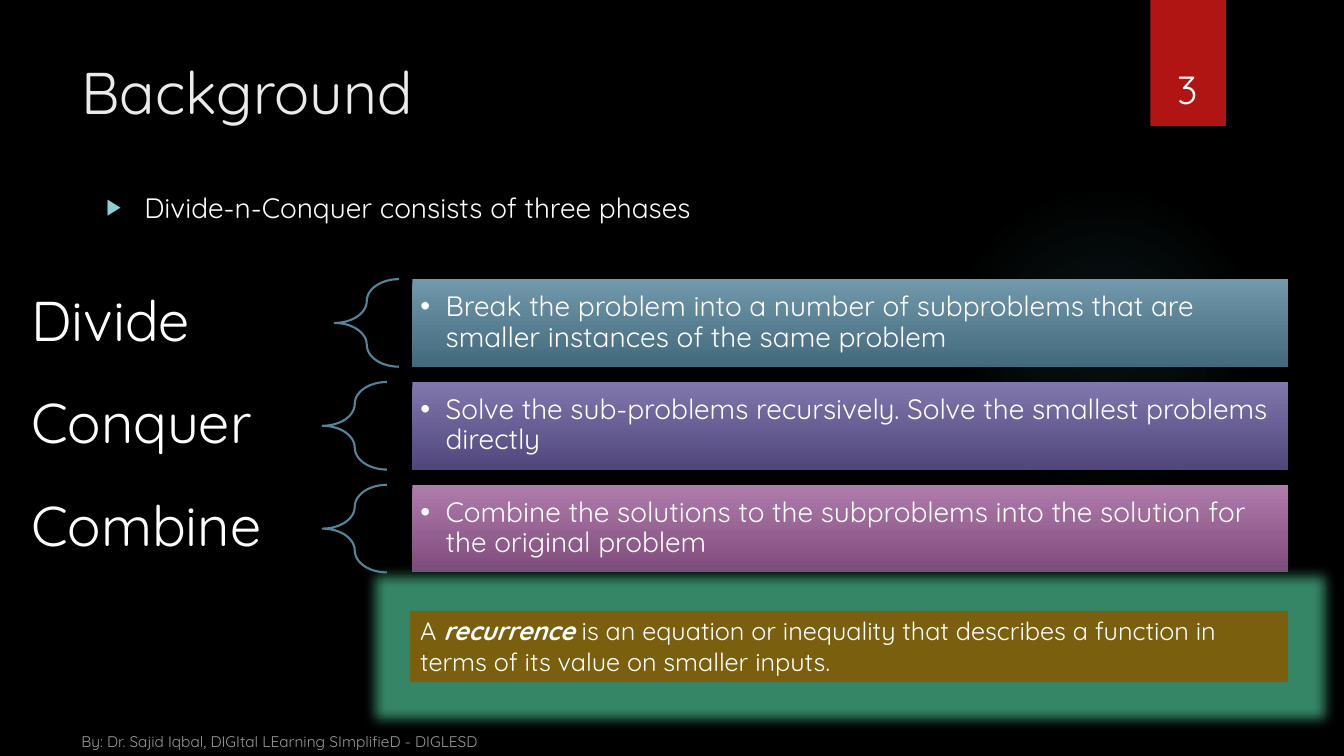
"""Build the Background slide on the phases of Divide-n-Conquer."""
from lxml import etree
from pptx import Presentation
from pptx.dml.color import RGBColor
from pptx.enum.shapes import MSO_SHAPE
from pptx.enum.text import MSO_ANCHOR, PP_ALIGN
from pptx.oxml import parse_xml
from pptx.util import Pt

RECTANGLE, ELLIPSE, BRACE = MSO_SHAPE.RECTANGLE, MSO_SHAPE.OVAL, MSO_SHAPE.LEFT_BRACE
TOP, MIDDLE, BOTTOM = MSO_ANCHOR.TOP, MSO_ANCHOR.MIDDLE, MSO_ANCHOR.BOTTOM
LEFT, CENTER = PP_ALIGN.LEFT, PP_ALIGN.CENTER

BLACK = RGBColor(0x00, 0x00, 0x00)
WHITE = RGBColor(0xFF, 0xFF, 0xFF)
OFF_WHITE = RGBColor(0xEB, 0xEB, 0xEB)
RED = RGBColor(0xB0, 0x15, 0x13)
TEAL = RGBColor(0x50, 0xB9, 0xC1)
AQUA = RGBColor(0x8A, 0xD0, 0xD6)
BRACE_BLUE = RGBColor(0x54, 0x84, 0x9A)
OCHRE = RGBColor(0x79, 0x5F, 0x0E)
GREEN = RGBColor(0x35, 0x86, 0x66)
BLUES = RGBColor(0x71, 0x98, 0xAB), RGBColor(0x43, 0x6A, 0x7C)
PURPLES = RGBColor(0x80, 0x77, 0xAC), RGBColor(0x51, 0x47, 0x7D)
PINKS = RGBColor(0xAF, 0x7C, 0xAC), RGBColor(0x7F, 0x4B, 0x7C)

DRAWING = "http://schemas.openxmlformats.org/drawingml/2006/main"
ROW_TOP, ROW_PITCH, ROW_HEIGHT = 199.4, 73.45, 62.6
PHASES = [
    ("Divide", 239, BLUES, "Break the problem into a number of subproblems "
     "that are smaller instances of the same problem"),
    ("Conquer", 230.4, PURPLES, "Solve the sub-problems recursively. "
     "Solve the smallest problems directly"),
    ("Combine", 230.4, PINKS, "Combine the solutions to the subproblems "
     "into the solution for the original problem"),
]


def element(markup):
    """Return a drawing element from markup, adding the namespace to its root tag."""
    return parse_xml(markup.replace(">", f' xmlns:a="{DRAWING}">', 1))


def apply(target, values):
    """Set attributes of the target from a dict."""
    for name, value in values.items():
        setattr(target, name, value)


class SlideBuilder:
    """Hold the style and the current slide."""

    font = "Quicksand"

    def __init__(self, deck):
        """Add a title-only page with a black background."""
        self.page = deck.slides.add_slide(deck.slide_layouts[5])
        self.page.background.fill.solid()
        self.page.background.fill.fore_color.rgb = BLACK

    def compose(self, box, spans, size, color=WHITE, anchor=TOP, insets=(7.2, 3.6),
                align=LEFT, spacing=1.0):
        """Fill a box with one paragraph of (text, emphasis) spans."""
        across, down = (Pt(inset) for inset in insets)
        frame = box.text_frame
        apply(frame, {"word_wrap": True, "vertical_anchor": anchor,
                      "margin_left": across, "margin_right": across,
                      "margin_top": down, "margin_bottom": down})
        para = frame.paragraphs[0]
        apply(para, {"alignment": align, "line_spacing": spacing})
        for text, strong in spans:
            span = para.add_run()
            span.text = text
            apply(span.font, {"name": self.font, "size": Pt(size),
                              "bold": strong, "italic": strong})
            span.font.color.rgb = color
        return para

    def title(self, text, frame, size):
        """Place and format the title placeholder."""
        box = self.page.shapes.title
        apply(box, dict(zip(("left", "top", "width", "height"), map(Pt, frame))))
        self.compose(box, [(text, False)], size, OFF_WHITE)

    def text(self, text, frame, size, **style):
        """Add a text box and return its paragraph."""
        box = self.page.shapes.add_textbox(*map(Pt, frame))
        return self.compose(box, [(text, False)], size, **style)

    def bullet(self, para, mark, indent, color=WHITE, scale=100):
        """Give a paragraph a hanging bullet."""
        properties = para._p.get_or_add_pPr()
        properties.set("marL", str(Pt(indent)))
        properties.set("indent", str(Pt(-indent)))
        for markup in (f'<a:buClr><a:srgbClr val="{color}"/></a:buClr>',
                       f'<a:buSzPct val="{scale * 1000}"></a:buSzPct>',
                       '<a:buFont typeface="Arial"></a:buFont>',
                       f'<a:buChar char="{mark}"></a:buChar>'):
            properties.append(element(markup))

    def shape(self, kind, frame, fill=None):
        """Add a preset shape with a plain fill or none."""
        shape = self.page.shapes.add_shape(kind, *map(Pt, frame))
        shape.shadow.inherit = False
        shape.line.fill.background()
        if fill is None:
            shape.fill.background()
        else:
            shape.fill.solid()
            shape.fill.fore_color.rgb = fill
        return shape

    def band(self, frame, colors):
        """Add a rectangle that shades from top to bottom."""
        shape = self.shape(RECTANGLE, frame)
        shape.fill.gradient()
        shape.fill.gradient_angle = 270
        for stop, color in zip(shape.fill.gradient_stops, colors):
            stop.color.rgb = color
        return shape

    def halo(self, frame, color, stops):
        """Add an ellipse that fades out from its centre."""
        shape = self.shape(ELLIPSE, frame)
        steps = "".join(
            f'<a:gs pos="{place * 1000}"><a:srgbClr val="{color}">'
            f'<a:alpha val="{alpha * 1000}"/></a:srgbClr></a:gs>'
            for place, alpha in stops)
        gradient = element(
            f'<a:gradFill><a:gsLst>{steps}</a:gsLst><a:path path="circle">'
            '<a:fillToRect l="50000" t="50000" r="50000" b="50000"/></a:path></a:gradFill>')
        properties = shape._element.spPr
        properties.replace(properties.find(f"{{{DRAWING}}}noFill"), gradient)

    def brace(self, frame):
        """Add an outlined left brace."""
        shape = self.shape(BRACE, frame)
        shape.line.color.rgb = BRACE_BLUE
        shape.line.width = Pt(1.5)
        shape.adjustments[0] = 0.35

    def glow(self, shape, color, radius):
        """Surround a shape with a soft glow."""
        effects = shape._element.spPr.find(f"{{{DRAWING}}}effectLst")
        effects.append(element(f'<a:glow rad="{Pt(radius)}"><a:srgbClr val="{color}"/></a:glow>'))

    def fade(self, para, percent):
        """Make the text of a paragraph partly transparent."""
        for color in para._p.iter(f"{{{DRAWING}}}srgbClr"):
            etree.SubElement(color, f"{{{DRAWING}}}alpha", val=str(percent * 1000))


def main():
    """Draw the slide and save it."""
    deck = Presentation()
    apply(deck, {"slide_width": Pt(960), "slide_height": Pt(540)})
    slide = SlideBuilder(deck)

    slide.halo((677.5, 131.8, 221.8, 221.8), TEAL, [(0, 7), (36, 6), (69, 0), (100, 0)])
    slide.shape(RECTANGLE, (821.7, 0, 54, 90), RED)
    slide.title("Background", (51, 36, 741, 110), 42)
    intro = slide.text("Divide-n-Conquer consists of three phases",
                       (69, 132.5, 704, 330), 20)
    slide.bullet(intro, "\u25b6", 27, AQUA, 80)
    footer = slide.text("By: Dr. Sajid Iqbal, DIGItal LEarning SImplifieD - DIGLESD",
                        (51, 516.2, 304, 23.8), 11, anchor=BOTTOM)
    slide.fade(footer, 60)
    slide.text("3", (815, 23, 66.2, 60.5), 28, anchor=BOTTOM, align=CENTER)

    for row, (name, brace_left, colors, detail) in enumerate(PHASES):
        top = ROW_TOP + row * ROW_PITCH
        slide.text(name, (0, top, 230.4, ROW_HEIGHT), 40, anchor=MIDDLE,
                   insets=(22.4, 8), spacing=0.9)
        slide.brace((brace_left, top, 46, ROW_HEIGHT))
        band = slide.band((294.5, top, 625.7, ROW_HEIGHT), colors)
        para = slide.compose(band, [(detail, False)], 20, anchor=MIDDLE,
                             insets=(5.8, 5.8), spacing=0.9)
        slide.bullet(para, "\u2022", 18)

    recurrence = slide.shape(RECTANGLE, (293, 436.3, 627, 51), OCHRE)
    slide.compose(recurrence, [
        ("A ", False), ("recurrence ", True),
        ("is an equation or inequality that describes a function in terms "
         "of its value on smaller inputs.", False)], 18)
    slide.glow(recurrence, GREEN, 18)
    deck.save("out.pptx")


main()
